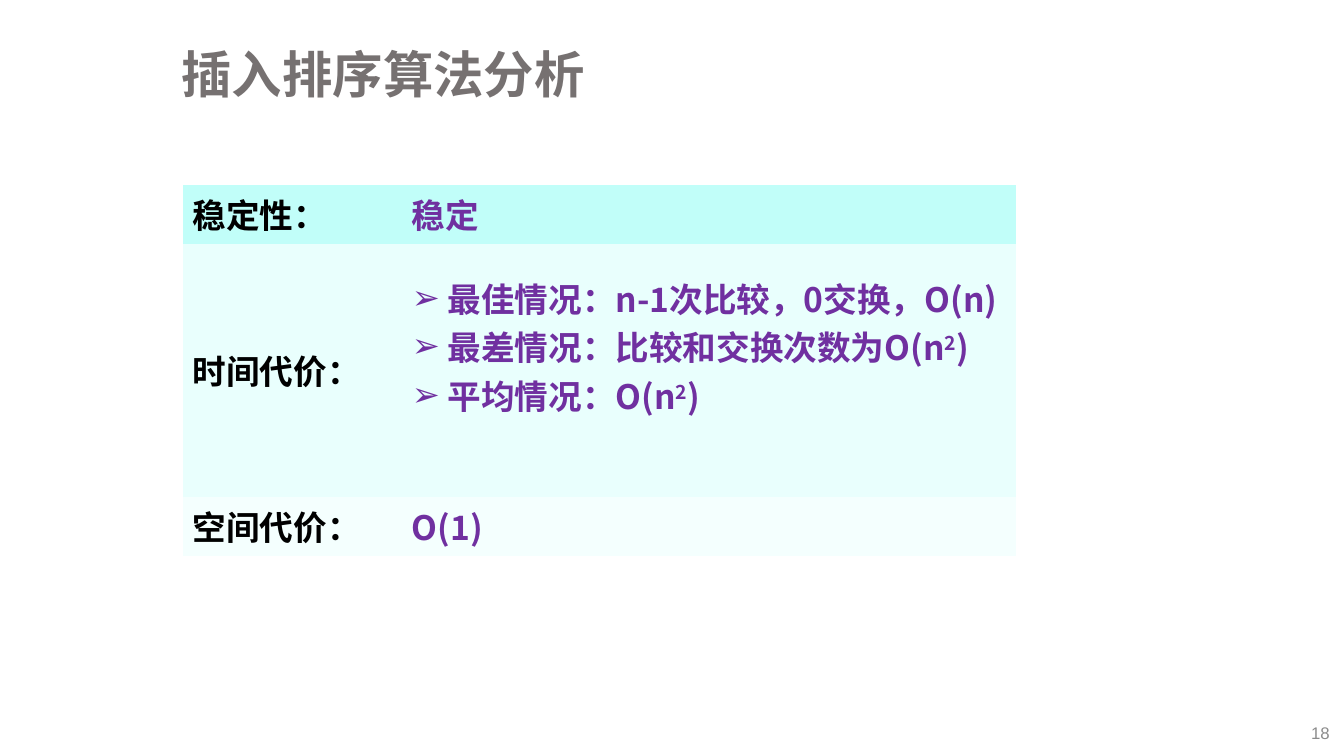
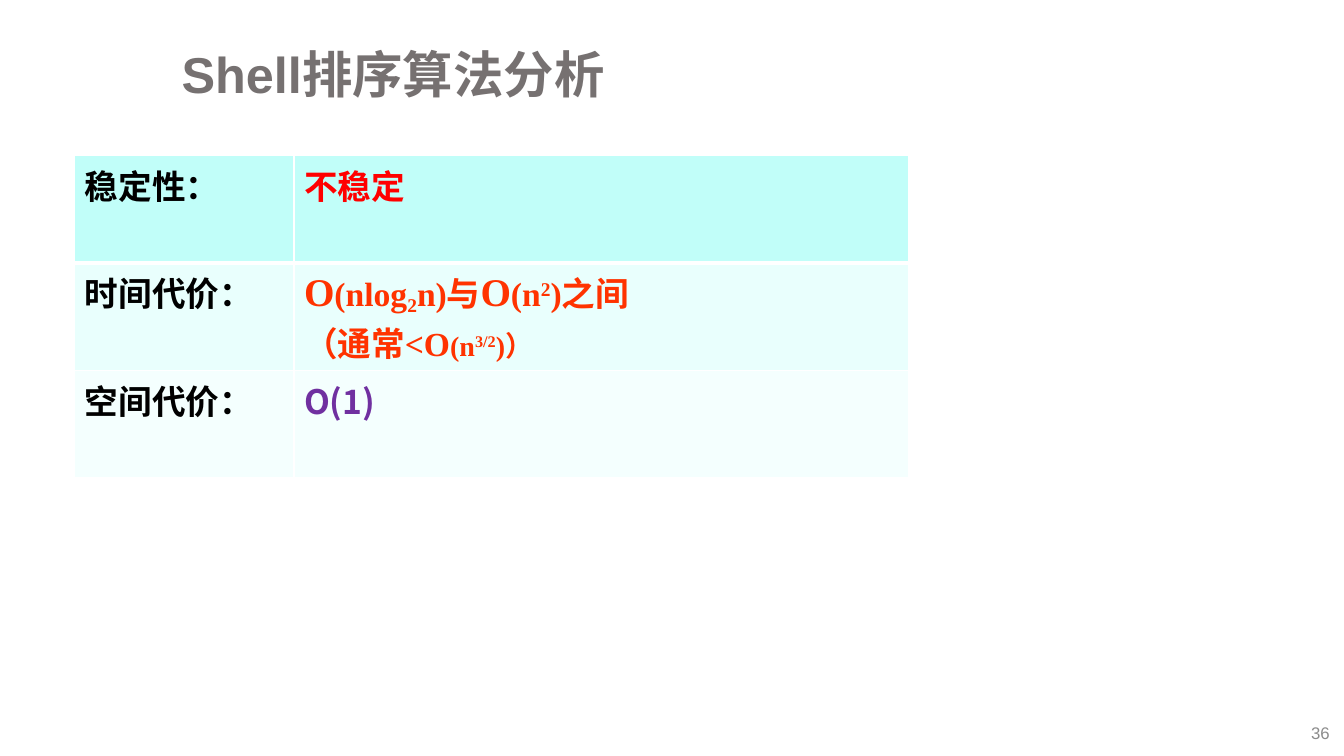
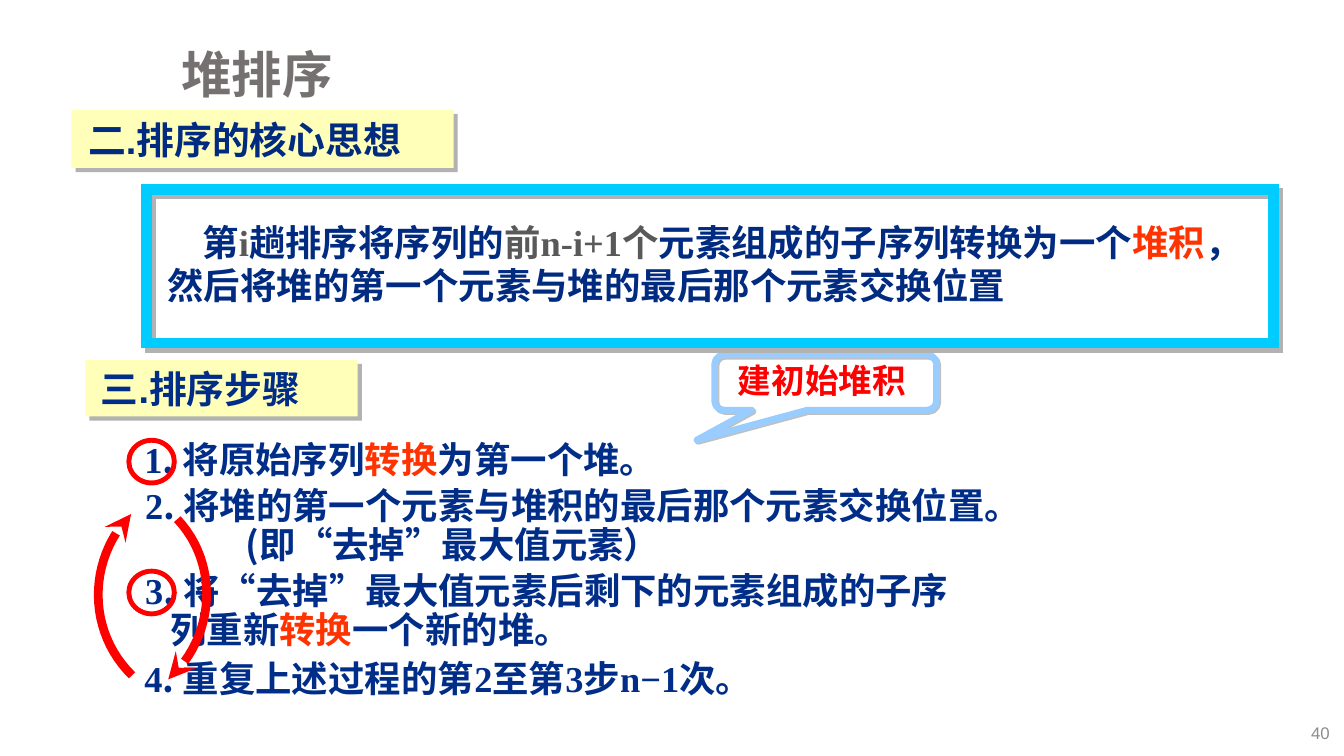
from lxml import etree
from pptx import Presentation
from pptx.dml.color import RGBColor
from pptx.enum.shapes import MSO_SHAPE
from pptx.enum.text import MSO_ANCHOR, PP_ALIGN
from pptx.oxml.ns import qn
from pptx.util import Pt

RECT, OVAL = MSO_SHAPE.RECTANGLE, MSO_SHAPE.OVAL
CALLOUT = MSO_SHAPE.ROUNDED_RECTANGULAR_CALLOUT
TOP, MIDDLE = MSO_ANCHOR.TOP, MSO_ANCHOR.MIDDLE
LEFT, RIGHT = PP_ALIGN.LEFT, PP_ALIGN.RIGHT

CJK, TIMES = "Noto Sans CJK SC", "Times New Roman"
NAVY, DEEP, GREY = "002D88", "002B80", "595959"
RED, ORANGE, PURPLE, WHITE = "FF0000", "FF3300", "7030A0", "FFFFFF"
ROW_FILLS = ["C1FEF9", "E9FFFD", "F4FFFE"]
PLAIN_TABLE = "{2D5ABB26-0587-4C30-8999-92F81FD0307C}"


def font(name, size, color, bold=True, base=0):
    return dict(name=name, size=size, color=color, bold=bold, base=base)


STYLES = {
    "title": font("Arial", 36, "767171"),
    "page": font("Arial", 12, "8C8C8C", False),
    "label": font("Arial Narrow", 24, "000000"),
    "value": font(CJK, 24, PURPLE),
    "value sup": font(CJK, 24, PURPLE, base=30),
    "warn": font(CJK, 24, RED),
    "big": font(TIMES, 28, ORANGE),
    "cost": font(TIMES, 24, ORANGE),
    "cost sup": font(TIMES, 24, ORANGE, base=30),
    "cost sub": font(TIMES, 24, ORANGE, base=-18),
    "small": font(TIMES, 20, ORANGE),
    "small sup": font(TIMES, 20, ORANGE, base=30),
    "head 2": font("Arial", 27, DEEP),
    "head 3": font("Arial", 27, NAVY),
    "idea": font(CJK, 26, DEEP),
    "idea grey": font(CJK, 26, GREY),
    "idea var": font(TIMES, 26, GREY),
    "step": font(CJK, 26, NAVY),
    "num": font(TIMES, 26, NAVY),
    "key": font("Arial", 26, ORANGE),
    "note": font("Arial", 24, RED),
}

# A paragraph is a list of (text, style) runs.
SPACE_ROW = ("空间代价：", [[("O(1)", "value")]])
INSERT_ROWS = [
    ("稳定性：", [[("稳定", "value")]]),
    ("时间代价：", [
        [(" 最佳情况：n-1次比较，0交换，O(n)", "value")],
        [(" 最差情况：比较和交换次数为O(n", "value"), ("2", "value sup"), (")", "value")],
        [(" 平均情况：O(n", "value"), ("2", "value sup"), (")", "value")],
    ]),
    SPACE_ROW,
]
SHELL_ROWS = [
    ("稳定性：", [[("不稳定", "warn")]]),
    ("时间代价：", [
        [("O", "big"), ("(nlog", "cost"), ("2", "cost sub"), ("n)与", "cost"),
         ("O", "big"), ("(n", "cost"), ("2", "cost sup"), (")之间", "cost")],
        [("（通常<O", "cost"), ("(n", "small"), ("3/2", "small sup"), (")）", "small")],
    ]),
    SPACE_ROW,
]
TABLES = [
    dict(title="插入排序算法分析", page="18", rows=INSERT_ROWS, at=(130.5, 132),
         heights=[42, 181, 42], anchor=MIDDLE, lines=False, bullet="➢", foot=38),
    dict(title="Shell排序算法分析", page="36", rows=SHELL_ROWS, at=(53.5, 111),
         heights=[76.8] * 3, anchor=TOP, lines=True, bullet=None, foot=3.6),
]
COLUMNS = [156.5, 439]

HEADS = [
    ("二.排序的核心思想", "head 2", (51, 78.5, 273, 41.5), 12),
    ("三.排序步骤", "head 3", (61, 257, 194.5, 40.5), 11),
]
IDEA = [
    ("第", "idea"), ("i", "idea var"), ("趟排序将序列的", "idea"), ("前", "idea grey"),
    ("n-i+1", "idea var"), ("个", "idea grey"), ("元素组成的子序列转换为一个", "idea"),
    ("堆积", "key"), ("，然后将堆的第一个元素与堆的最后那个元素交换位置", "idea"),
]
# Box, line spacing, then (left indent, runs) for each paragraph.
STEPS = [
    ((96, 309, 450, 38), 1, [(0, [
        ("1", "num"), (". 将原始序列", "step"), ("转换", "key"), ("为第一个堆。", "step")])]),
    ((96.5, 345, 644, 63), 0.9, [
        (0, [("2", "num"), (". 将堆的第一个元素与堆积的最后那个元素交换位置。", "step")]),
        (72, [("(即", "step"), ("“", "num"), ("去掉", "step"), ("”", "num"),
              ("最大值元素）", "step")])]),
    ((96.5, 405.5, 644, 63), 0.9, [
        (0, [("3", "num"), (". 将", "step"), ("“", "num"), ("去掉", "step"), ("”", "num"),
             ("最大值元素后剩下的元素组成的子序", "step")]),
        (18, [("列重新", "step"), ("转换", "key"), ("一个新的堆。", "step")])]),
    ((96, 465, 511, 38), 1, [(0, [
        ("4", "num"), (". 重复上述过程的第", "step"), ("2", "num"), ("至第", "step"),
        ("3", "num"), ("步", "step"), ("n−1", "num"), ("次。", "step")])]),
]
RINGS = [(92, y, 32.5, 30.5) for y in (314.5, 408)]
ARCS = [  # Bezier control points
    [(94.3, 482.4), (62.6, 451.4), (61.9, 400.3), (93.6, 367.2)],
    [(126.7, 370.8), (157, 403.2), (154.1, 455), (120.2, 485.3)],
]


def rgb(code):
    return RGBColor.from_string(code)


def tag(parent, name, **attrs):
    node = etree.SubElement(parent, qn("a:" + name))
    for key, value in attrs.items():
        node.set(key, str(value))
    return node


def write(para, runs, left=0, first=0, bullet=None, **form):
    props = para._p.get_or_add_pPr()
    props.set("marL", str(Pt(left)))
    props.set("indent", str(Pt(first)))
    if bullet:
        tag(props, "buFont", typeface="Arial")
        tag(props, "buChar", char=bullet)
    for key, value in form.items():
        setattr(para, key, value)
    for text, style in runs:
        look = STYLES[style]
        run = para.add_run()
        run.text = text
        for key in ("name", "bold"):
            setattr(run.font, key, look[key])
        run.font.size = Pt(look["size"])
        run.font.color.rgb = rgb(look["color"])
        mark = run._r.get_or_add_rPr()
        tag(mark, "ea", typeface=CJK)
        if look["base"]:
            mark.set("baseline", str(look["base"] * 1000))


def paras(frame, count):
    """Yield the first paragraph, then new ones up to count."""
    for i in range(count):
        yield frame.add_paragraph() if i else frame.paragraphs[0]


def textbox(slide, box, anchor=TOP):
    frame = slide.shapes.add_textbox(*map(Pt, box)).text_frame
    frame.word_wrap = True
    frame.vertical_anchor = anchor
    return frame


def shade(node, color, dist):
    cast = tag(node, "outerShdw", blurRad=0, dist=Pt(dist), dir=45 * 60000, algn="ctr")
    tag(cast, "srgbClr", val=color)


def dress(item, fill=None, line=None, shadow=None):
    """Set fill colour, (colour, width) line and (colour, distance) shadow."""
    item.shadow.inherit = False
    if fill:
        item.fill.solid()
        item.fill.fore_color.rgb = rgb(fill)
    else:
        item.fill.background()
    if line:
        item.line.color.rgb = rgb(line[0])
        item.line.width = Pt(line[1])
    else:
        item.line.fill.background()
    if shadow:
        shade(item._element.spPr.find(qn("a:effectLst")), *shadow)
    return item


def shape(slide, kind, box, **look):
    return dress(slide.shapes.add_shape(kind, *map(Pt, box)), **look)


def start(deck, title, page):
    """Add a slide with its title and page number."""
    slide = deck.slides.add_slide(deck.slide_layouts[5])
    head = slide.shapes.title
    for key, value in zip(("left", "top", "width", "height"), (122.5, 24.5, 810, 61)):
        setattr(head, key, Pt(value))
    head.text_frame.vertical_anchor = MIDDLE
    write(head.text_frame.paragraphs[0], [(title, "title")],
          alignment=LEFT, line_spacing=0.9)
    foot = textbox(slide, (741, 512.5, 216, 22.5), MIDDLE)
    write(foot.paragraphs[0], [(page, "page")], alignment=RIGHT)
    return slide


def border(cell, row):
    for side in "LRTB":
        thick = (row, side) in ((0, "B"), (1, "T"))
        line = tag(cell._tc.get_or_add_tcPr(), "ln" + side, w=Pt(3 if thick else 1))
        tag(tag(line, "solidFill"), "srgbClr", val=WHITE)


def grid(slide, spec):
    rows, heights = spec["rows"], spec["heights"]
    size = sum(COLUMNS), sum(heights)
    table = slide.shapes.add_table(len(rows), 2, *map(Pt, spec["at"] + size)).table
    table.first_row = table.horz_banding = False
    table._tbl.tblPr.find(qn("a:tableStyleId")).text = PLAIN_TABLE
    for col, width in zip(table.columns, COLUMNS):
        col.width = Pt(width)
    for r, (label, value) in enumerate(rows):
        table.rows[r].height = Pt(heights[r])
        for c, body in enumerate(([[(label, "label")]], value)):
            cell = table.cell(r, c)
            if spec["lines"]:
                border(cell, r)
            cell.fill.solid()
            cell.fill.fore_color.rgb = rgb(ROW_FILLS[r])
            cell.vertical_anchor = spec["anchor"]
            many = len(body) > 1
            if many:
                cell.margin_bottom = Pt(spec["foot"])
            for para, runs in zip(paras(cell.text_frame, len(body)), body):
                write(para, runs, bullet=spec["bullet"] if many else None)


def arc(slide, points, steps=24):
    """Draw a Bezier curve that ends in an arrowhead."""
    curve = []
    for i in range(steps + 1):
        t = i / steps
        parts = (1 - t) ** 3, 3 * t * (1 - t) ** 2, 3 * t * t * (1 - t), t ** 3
        curve.append(tuple(Pt(sum(k * p[axis] for k, p in zip(parts, points)))
                           for axis in (0, 1)))
    pen = slide.shapes.build_freeform(*curve[0])
    pen.add_line_segments(curve[1:], close=False)
    item = dress(pen.convert_to_shape(), line=(RED, 6.25))
    tag(item.line._get_or_add_ln(), "tailEnd", type="stealth")


def heap(deck):
    slide = start(deck, "堆排序", "40")
    for box, space, body in STEPS:
        frame = textbox(slide, box)
        for para, (left, runs) in zip(paras(frame, len(body)), body):
            write(para, runs, left, line_spacing=space)
    for box in RINGS:
        shape(slide, OVAL, box, line=(RED, 3.5))
    for text, style, box, inset in HEADS:
        frame = shape(slide, RECT, box, fill="FFFFB9", shadow=("B2B2B2", 4.2)).text_frame
        frame.margin_left = Pt(inset)
        frame.word_wrap = False
        frame.vertical_anchor = MIDDLE
        write(frame.paragraphs[0], [(text, style)], alignment=LEFT)

    note = textbox(slide, (520, 253.5, 170, 36)).paragraphs[0]
    write(note, [("建初始堆积", "note")])
    glow = etree.Element(qn("a:effectLst"))
    shade(glow, "000000", 1.4)
    note.runs[0]._r.rPr.find(qn("a:solidFill")).addnext(glow)
    bubble = shape(slide, CALLOUT, (510.5, 253.5, 158.5, 39.5),
                   line=("99CCFF", 4.75), shadow=("C0C0C0", 1.4))
    for i, value in enumerate((-0.58, 1.04, 0.17)):
        bubble.adjustments[i] = value

    for points in ARCS:
        arc(slide, points)
    panel = shape(slide, RECT, (104.5, 135.5, 805, 109.5),
                  line=("00CCFF", 7.75), shadow=("B2B2B2", 4.2))
    tag(panel.line._get_or_add_ln(), "miter", lim=800000)
    idea = textbox(slide, (112.5, 153.5, 796.5, 70.5))
    write(idea.paragraphs[0], IDEA, first=25)


def main():
    deck = Presentation()
    deck.slide_width, deck.slide_height = Pt(960), Pt(540)
    for spec in TABLES:
        grid(start(deck, spec["title"], spec["page"]), spec)
    heap(deck)
    deck.save("out.pptx")


if __name__ == "__main__":
    main()
